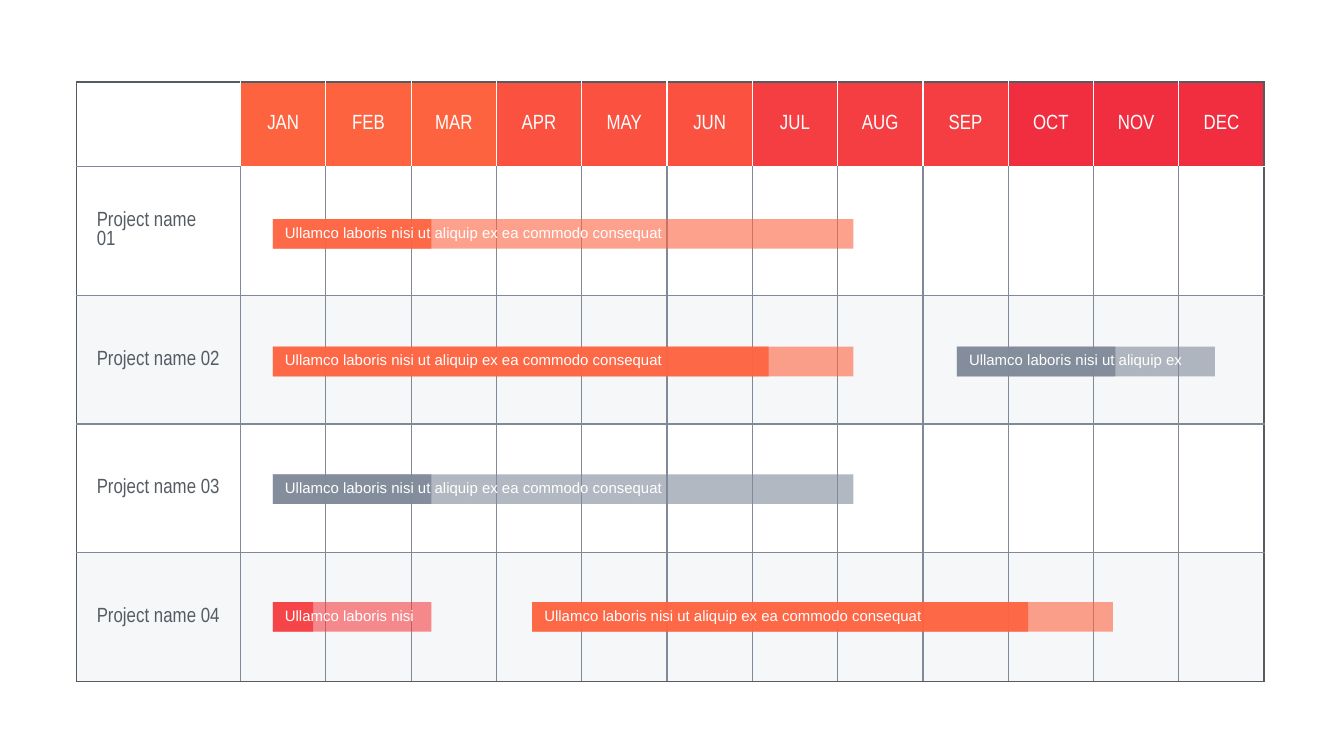
from lxml.etree import SubElement
from pptx import Presentation
from pptx.dml.color import RGBColor
from pptx.enum.shapes import MSO_SHAPE as Shape
from pptx.enum.text import MSO_ANCHOR as Anchor, PP_ALIGN as Align
from pptx.oxml.ns import qn
from pptx.util import Inches, Pt

WHITE, DARK, GREY, STRIPE = "FFFFFF", "545B63", "7F8998", "EEF0F4"
ORANGE, RED = "FE6340", "F53E42"
QUARTERS = [ORANGE, "FA5140", RED, "F12E40"]
MONTHS = "JAN FEB MAR APR MAY JUN JUL AUG SEP OCT NOV DEC".split()
PROJECTS = ["Project name\n01", "Project name 02", "Project name 03", "Project name 04"]
SHORT = "Ullamco laboris nisi"
MEDIUM = SHORT + " ut aliquip ex"
LONG = MEDIUM + " ea commodo consequat"

# left, project row, full length, finished length, text width, colour, text
TASKS = [
    (2.03, 0, 4.32, 1.18, 3.11, ORANGE, LONG),
    (2.03, 3, 1.18, 0.3, 1.13, RED, SHORT),
    (2.03, 1, 4.32, 3.69, 3.11, ORANGE, LONG),
    (2.03, 2, 4.32, 1.18, 3.11, GREY, LONG),
    (3.96, 3, 4.32, 3.69, 3.11, ORANGE, LONG),
    (7.12, 1, 1.92, 1.18, 1.87, GREY, MEDIUM),
]


def rgb(value):
    return RGBColor.from_string(value)


def paint(fill, properties, color, opacity=100):
    """Fill solidly; properties is the XML element that holds the fill."""
    fill.solid()
    fill.fore_color.rgb = rgb(color)
    if opacity < 100:
        tone = properties.find(qn("a:solidFill") + "/" + qn("a:srgbClr"))
        SubElement(tone, qn("a:alpha"), val=str(opacity * 1000))


def write(frame, text, font="Arial", size=8, color=WHITE, align=Align.LEFT):
    """Set text, one paragraph for each line."""
    for index, line in enumerate(text.split("\n")):
        para = frame.add_paragraph() if index else frame.paragraphs[0]
        para.alignment = align
        span = para.add_run()
        span.text = line
        span.font.name = font
        span.font.size = Pt(size)
        span.font.color.rgb = rgb(color)


def set_margins(target, left=0.04):
    target.margin_left, target.margin_right = Inches(left), Inches(0.04)
    target.margin_top = target.margin_bottom = Inches(0.02)


def border_colors(row, column):
    """Colours of the left, right, top and bottom edges of a cell."""
    side = GREY if row else WHITE
    return {
        "L": side if column else DARK,
        "R": DARK if column == len(MONTHS) else side,
        "T": DARK if row == 0 else WHITE if row == 1 and column else GREY,
        "B": DARK if row == len(PROJECTS) else WHITE if row == 0 and column else GREY,
    }


class Gantt:
    table_font, table_size = "Arial Narrow", 11
    left, top, label_width, month_width = 0.57, 0.61, 1.22, 7.62 / 12
    header_height, row_height = 0.63, 3.83 / 4
    bar_top, bar_step, bar_height = 1.63, 0.95, 0.22

    def __init__(self, slide):
        self.slide = slide

    def table(self):
        rows, columns = len(PROJECTS) + 1, len(MONTHS) + 1
        width = self.label_width + len(MONTHS) * self.month_width
        height = self.header_height + len(PROJECTS) * self.row_height
        table = self.slide.shapes.add_table(
            rows, columns, Inches(self.left), Inches(self.top), Inches(width), Inches(height)
        ).table
        table.first_row = table.horz_banding = False
        for index, column in enumerate(table.columns):
            column.width = Inches(self.month_width if index else self.label_width)
        for index, row in enumerate(table.rows):
            row.height = Inches(self.row_height if index else self.header_height)
        for row in range(rows):
            for column in range(columns):
                self.cell(table.cell(row, column), row, column)

    def cell(self, cell, row, column):
        properties = cell._tc.get_or_add_tcPr()
        for side, color in border_colors(row, column).items():
            line = SubElement(properties, qn("a:ln" + side), w=str(Pt(0.75)))
            SubElement(SubElement(line, qn("a:solidFill")), qn("a:srgbClr"), val=color)
        if row == 0 and column:
            paint(cell.fill, properties, QUARTERS[(column - 1) // 3])
        elif row and row % 2 == 0:
            paint(cell.fill, properties, STRIPE, 50)
        else:
            cell.fill.background()
        cell.vertical_anchor = Anchor.MIDDLE
        set_margins(cell, 0.15 if row and column == 0 else 0.04)
        style = dict(font=self.table_font, size=self.table_size)
        if row == 0 and column:
            write(cell.text_frame, MONTHS[column - 1], align=Align.CENTER, **style)
        elif row and column == 0:
            write(cell.text_frame, PROJECTS[row - 1], color=DARK, **style)

    def bar(self, group, left, top, width, color, opacity):
        shape = group.shapes.add_shape(
            Shape.RECTANGLE, Inches(left), Inches(top), Inches(width), Inches(self.bar_height)
        )
        shape.shadow.inherit = False
        shape.line.fill.background()
        paint(shape.fill, shape.element.spPr, color, opacity)

    def task(self, left, row, length, finished, text_width, color, text):
        group = self.slide.shapes.add_group_shape()
        top = self.bar_top + row * self.bar_step
        self.bar(group, left, top, length, color, 60)
        self.bar(group, left, top, finished, color, 90)
        box = group.shapes.add_textbox(
            Inches(left + 0.05), Inches(top + 0.01), Inches(text_width), Inches(0.18)
        )
        frame = box.text_frame
        frame.word_wrap = True
        set_margins(frame)
        write(frame, text)


def main():
    deck = Presentation()
    deck.slide_width, deck.slide_height = Inches(10), Inches(10 * 9 / 16)
    gantt = Gantt(deck.slides.add_slide(deck.slide_layouts[6]))
    gantt.table()
    for task in TASKS:
        gantt.task(*task)
    deck.save("out.pptx")


if __name__ == "__main__":
    main()
